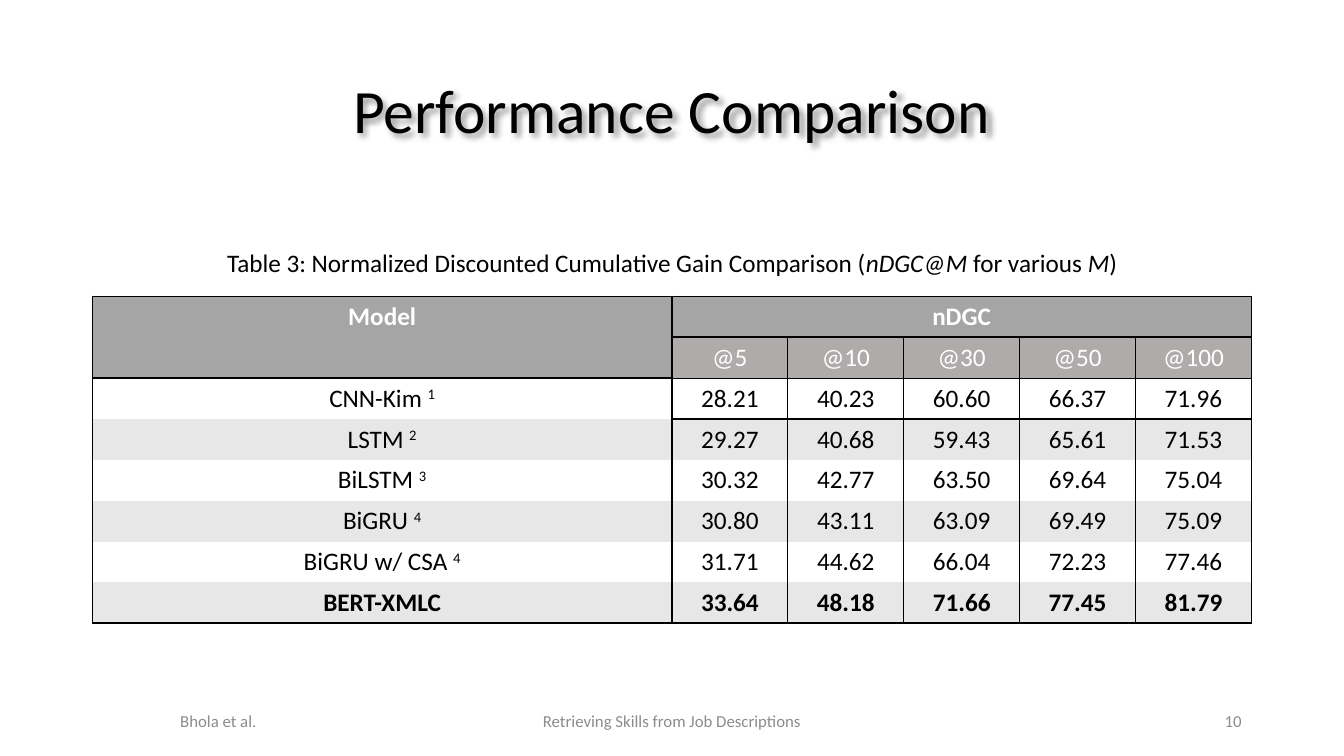
"""Builds the performance comparison slide with its nDGC table."""
from dataclasses import dataclass

from lxml import etree
from pptx import Presentation
from pptx.dml.color import RGBColor
from pptx.enum.text import MSO_ANCHOR, PP_ALIGN
from pptx.oxml.ns import qn
from pptx.util import Inches, Pt

CENTER, RIGHT = PP_ALIGN.CENTER, PP_ALIGN.RIGHT
TOP, MIDDLE = MSO_ANCHOR.TOP, MSO_ANCHOR.MIDDLE
BOLD, ITALIC, RAISED = "bold", "italic", "raised"


@dataclass(frozen=True)
class Theme:
    font: str = "Calibri"
    title_size: int = 44
    body_size: int = 18
    footer_size: int = 12
    ink: str = "000000"
    paper: str = "FFFFFF"
    muted: str = "8C8C8C"
    header: str = "A5A5A5"
    subheader: str = "AFABAB"
    band: str = "E7E7E7"
    thin: float = 1
    medium: float = 1.5
    thick: float = 2


CUTOFFS = ["@5", "@10", "@30", "@50", "@100"]
RESULTS = [
    ("CNN-Kim ", "1", "28.21 40.23 60.60 66.37 71.96"),
    ("LSTM ", "2", "29.27 40.68 59.43 65.61 71.53"),
    ("BiLSTM ", "3", "30.32 42.77 63.50 69.64 75.04"),
    ("BiGRU ", "4", "30.80 43.11 63.09 69.49 75.09"),
    ("BiGRU w/ CSA ", "4", "31.71 44.62 66.04 72.23 77.46"),
    ("BERT-XMLC", "", "33.64 48.18 71.66 77.45 81.79"),
]


class SlideBuilder:
    """Draws elements on a slide grid of 160 columns by 90 rows."""

    def __init__(self, deck, theme):
        self.theme = theme
        self.page = deck.slides.add_slide(deck.slide_layouts[6])
        self.column = deck.slide_width / 160
        self.row = deck.slide_height / 90

    def place(self, left, top, width, height):
        return (round(left * self.column), round(top * self.row),
                round(width * self.column), round(height * self.row))

    def set_spans(self, frame, spans, size, color, align=CENTER, spacing=None):
        para = frame.paragraphs[0]
        para.alignment = align
        if spacing:
            para.line_spacing = spacing
        for text, style in spans:
            span = para.add_run()
            span.text = text
            font = span.font
            font.name, font.size = self.theme.font, Pt(size)
            font.color.rgb = RGBColor.from_string(color)
            font.bold, font.italic = style == BOLD, style == ITALIC
            if style == RAISED:
                font._element.set("baseline", "30000")

    def text(self, place, spans, size, color, align=CENTER, anchor=MIDDLE, spacing=None):
        box = self.page.shapes.add_textbox(*self.place(*place))
        box.text_frame.word_wrap = True
        box.text_frame.vertical_anchor = anchor
        self.set_spans(box.text_frame, spans, size, color, align, spacing)
        return box

    def title(self, place, words):
        box = self.text(place, [(words, None)], self.theme.title_size,
                        self.theme.ink, spacing=0.9)
        effects = etree.SubElement(box._element.spPr, qn("a:effectLst"))
        shadow = etree.SubElement(effects, qn("a:outerShdw"), blurRad="50800",
                                  dist="38100", dir="2700000", algn="tl")
        color = etree.SubElement(shadow, qn("a:srgbClr"), val=self.theme.ink)
        etree.SubElement(color, qn("a:alpha"), val="40000")

    def footer(self, left, width, words, align=CENTER):
        self.text((left, 83.4, width, 4.8), [(words, None)],
                  self.theme.footer_size, self.theme.muted, align)

    def borders(self, cell, widths):
        properties = cell._tc.get_or_add_tcPr()
        for index, (side, width) in enumerate(zip("LRTB", widths)):
            line = etree.Element(qn(f"a:ln{side}"), w=str(int(Pt(width))))
            if width:
                fill = etree.SubElement(line, qn("a:solidFill"))
                etree.SubElement(fill, qn("a:srgbClr"), val=self.theme.ink)
            else:
                etree.SubElement(line, qn("a:noFill"))
            properties.insert(index, line)

    def cell(self, cell, spans, fill, color, widths):
        cell.fill.solid()
        cell.fill.fore_color.rgb = RGBColor.from_string(fill)
        if spans:
            self.set_spans(cell.text_frame, spans, self.theme.body_size, color)
        self.borders(cell, widths)

    def table(self, place, rows, fills, widths, rules):
        frame = self.page.shapes.add_table(len(rows), len(rows[0]), *self.place(*place))
        table = frame.table
        table.first_row = table.horz_banding = False
        for column, width in zip(table.columns, widths):
            column.width = round(width * self.column)
        for r, row in enumerate(rows):
            color = self.theme.paper if r < 2 else self.theme.ink
            for c, spans in enumerate(row):
                lines = rules[min(c, 1)]
                self.cell(table.cell(r, c), spans, fills[r] if c or r != 1 else fills[0],
                          color, (self.theme.thin, self.theme.thin,
                                  lines.get(r, 0), lines.get(r + 1, 0)))
        table.cell(0, 0).merge(table.cell(1, 0))
        table.cell(0, 1).merge(table.cell(0, len(widths) - 1))


def main():
    theme = Theme()
    deck = Presentation()
    deck.slide_width, deck.slide_height = Inches(13.333), Inches(7.5)
    slide = SlideBuilder(deck, theme)

    slide.title((11, 4.8, 138, 17.4), "Performance Comparison")
    slide.footer(113, 36, "10", RIGHT)
    slide.footer(53, 54, "Retrieving Skills from Job Descriptions")
    slide.footer(0, 52, "Bhola et al.")

    rows = [
        [[("Model", BOLD)], [("nDGC", BOLD)]] + [[]] * (len(CUTOFFS) - 1),
        [[]] + [[(cutoff, None)] for cutoff in CUTOFFS],
    ]
    for model, note, scores in RESULTS:
        style = None if note else BOLD
        label = [(model, style)] + ([(note, RAISED)] if note else [])
        rows.append([label] + [[(score, style)] for score in scores.split()])
    fills = [theme.header, theme.subheader] + [theme.paper, theme.band] * 3
    model_rules = {0: theme.medium, 1: theme.thick, 2: theme.thick, 8: theme.medium}
    score_rules = {0: theme.medium, 1: theme.medium, 2: theme.thin,
                   3: theme.thin, 8: theme.medium}
    slide.table((11, 35.3, 138, 38.9), rows, fills, [69] + [13.8] * len(CUTOFFS),
                (model_rules, score_rules))

    caption = [
        ("Table 3: Normalized Discounted Cumulative Gain Comparison (", None),
        ("nDGC@M", ITALIC), (" for various ", None), ("M", ITALIC), (")", None),
    ]
    slide.text((11, 29.2, 138, 5.9), caption, theme.body_size, theme.ink,
               anchor=TOP, spacing=0.9)
    deck.save("out.pptx")


if __name__ == "__main__":
    main()
